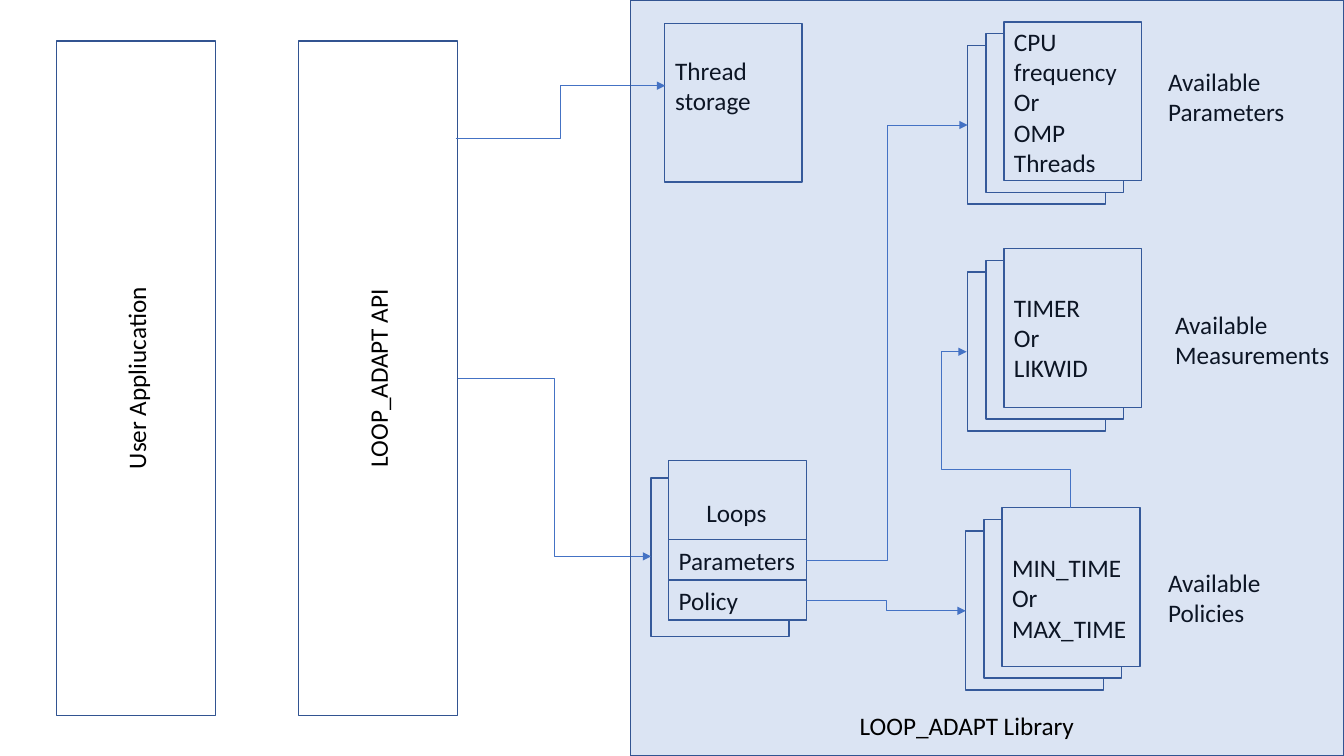
import pptx
import pptx.util
import pptx.dml.color
import pptx.enum.shapes
import pptx.enum.text
import pptx.oxml.ns
import lxml.etree

Pt = pptx.util.Pt
Align = pptx.enum.text.PP_ALIGN
Anchor = pptx.enum.text.MSO_ANCHOR
qn = pptx.oxml.ns.qn

WHITE = "FFFFFF"
BLACK = "000000"
NAVY = "325491"
BLUE = "4472C4"
CARD_W, CARD_H = 98.4, 113.4
BAR_W, BAR_H, BAR_TOP = 113.8, 481.7, 29.3
LINE_H = 28.8


def color(code):
    return pptx.dml.color.RGBColor.from_string(code)


def add(node, tag, **attrs):
    return lxml.etree.SubElement(node, qn(tag), attrs)


class Board:
    def __init__(self, slide, font="Calibri", size=18):
        self.shapes = slide.shapes
        self.font = font
        self.size = size

    def fill_text(self, frame, lines, align):
        frame.word_wrap = True
        for i, line in enumerate(lines):
            para = frame.paragraphs[0] if i == 0 else frame.add_paragraph()
            para.alignment = align
            run = para.add_run()
            run.text = line
            run.font.name = self.font
            run.font.size = Pt(self.size)
            run.font.color.rgb = color(BLACK)

    def box(self, x, y, w, h, fill=None, alpha=None, line=1):
        kind = pptx.enum.shapes.MSO_SHAPE.RECTANGLE
        shape = self.shapes.add_shape(kind, Pt(x), Pt(y), Pt(w), Pt(h))
        shape.shadow.inherit = False
        shape.line.color.rgb = color(NAVY)
        shape.line.width = Pt(line)
        if fill is None:
            shape.fill.background()
        else:
            shape.fill.solid()
            shape.fill.fore_color.rgb = color(fill)
        if alpha is not None:
            tint = shape.fill._xPr.find(".//" + qn("a:srgbClr"))
            add(tint, "a:alpha", val=str(alpha * 1000))
        return shape

    def text(self, x, y, w, h, *lines, align=Align.LEFT, turn=0):
        label = self.shapes.add_textbox(Pt(x), Pt(y), Pt(w), Pt(h))
        label.rotation = turn
        self.fill_text(label.text_frame, lines, align)

    def row(self, x, y, name):
        """A bordered row with its name at the left."""
        shape = self.box(x, y, CARD_W, LINE_H, line=0.75)
        shape.text_frame.vertical_anchor = Anchor.MIDDLE
        self.fill_text(shape.text_frame, [name], Align.LEFT)

    def stack(self, x, y, count, dx, dy, back=None):
        """Cards from back to front, each moved by dx and dy."""
        for i in range(count):
            fill = WHITE if i else back
            self.box(x + i * dx, y + i * dy, CARD_W, CARD_H, fill)

    def bar(self, x, name):
        """A tall bar with its name reading upwards."""
        self.box(x, BAR_TOP, BAR_W, BAR_H)
        self.text(x + (BAR_W - BAR_H) / 2, BAR_TOP + (BAR_H - LINE_H) / 2,
                  BAR_H, LINE_H, name, align=Align.CENTER, turn=270)

    def link(self, x1, y1, x2, y2, turn=0, bends=()):
        """An elbow arrow; bends are the percentages of a four-part elbow."""
        kind = pptx.enum.shapes.MSO_CONNECTOR.ELBOW
        arrow = self.shapes.add_connector(kind, Pt(x1), Pt(y1), Pt(x2), Pt(y2))
        arrow.line.color.rgb = color(BLUE)
        arrow.line.width = Pt(0.5)
        add(arrow.line._get_or_add_ln(), "a:tailEnd", type="triangle")
        props = arrow._element.spPr
        add(props, "a:effectLst")
        if turn:
            props.find(qn("a:xfrm")).set("rot", str(turn * 60000))
        if bends:
            shape = props.find(qn("a:prstGeom"))
            shape.set("prst", "bentConnector4")
            guides = shape.find(qn("a:avLst"))
            for i, bend in enumerate(bends, 1):
                add(guides, "a:gd", name=f"adj{i}", fmla=f"val {round(bend * 1000)}")


def main():
    deck = pptx.Presentation()
    deck.slide_width, deck.slide_height = Pt(960), Pt(540)
    board = Board(deck.slides.add_slide(deck.slide_layouts[6]))

    board.bar(213.1, "LOOP_ADAPT API")
    board.bar(40.3, "User Appliucation")

    stacks = [
        (691.2, 32.4, 15.1, ["CPU frequency", "Or", "OMP Threads"]),
        (691.2, 194.4, 205.2, ["TIMER", "Or", "LIKWID"]),
        (689.8, 379.4, 391, ["MIN_TIME", "Or", "MAX_TIME"]),
    ]
    for x, y, top, lines in stacks:
        board.stack(x, y, 3, 13, -8.4)
        board.text(x + 26, top, 97.2, 73, *lines)

    titles = [(827.3, 43.9, "Parameters"), (832.3, 217.4, "Measurements"),
              (827.3, 401.8, "Policies")]
    for x, y, name in titles:
        board.text(x, y, 128, 51, "Available " + name)

    board.stack(465.1, 341.3, 2, 12.6, -12.2, back=WHITE)
    board.text(477.4, 351.4, 97.2, LINE_H, "Loops", align=Align.CENTER)
    for i, name in enumerate(["Parameters", "Policy"]):
        board.row(477.7, 385.6 + i * 28.6, name)

    board.box(474.5, 16.6, CARD_W, CARD_H, WHITE)
    board.text(475.2, 36, 97.2, 51, "Thread storage")

    board.link(576, 400.3, 691.2, 89.3)
    board.link(576, 428.6, 689.8, 436.3)
    board.link(326.9, 270.2, 465.1, 397.4)
    board.link(325.4, 98.6, 475.2, 61.2)
    board.link(671.8, 344.2, 783.4, 270, turn=270, bends=(24.6, 124.3))

    board.box(450.4, 0, 509.6, 540, BLUE, alpha=19)
    board.text(607, 504, 191.5, LINE_H, "LOOP_ADAPT Library")
    deck.save("out.pptx")


if __name__ == "__main__":
    main()
